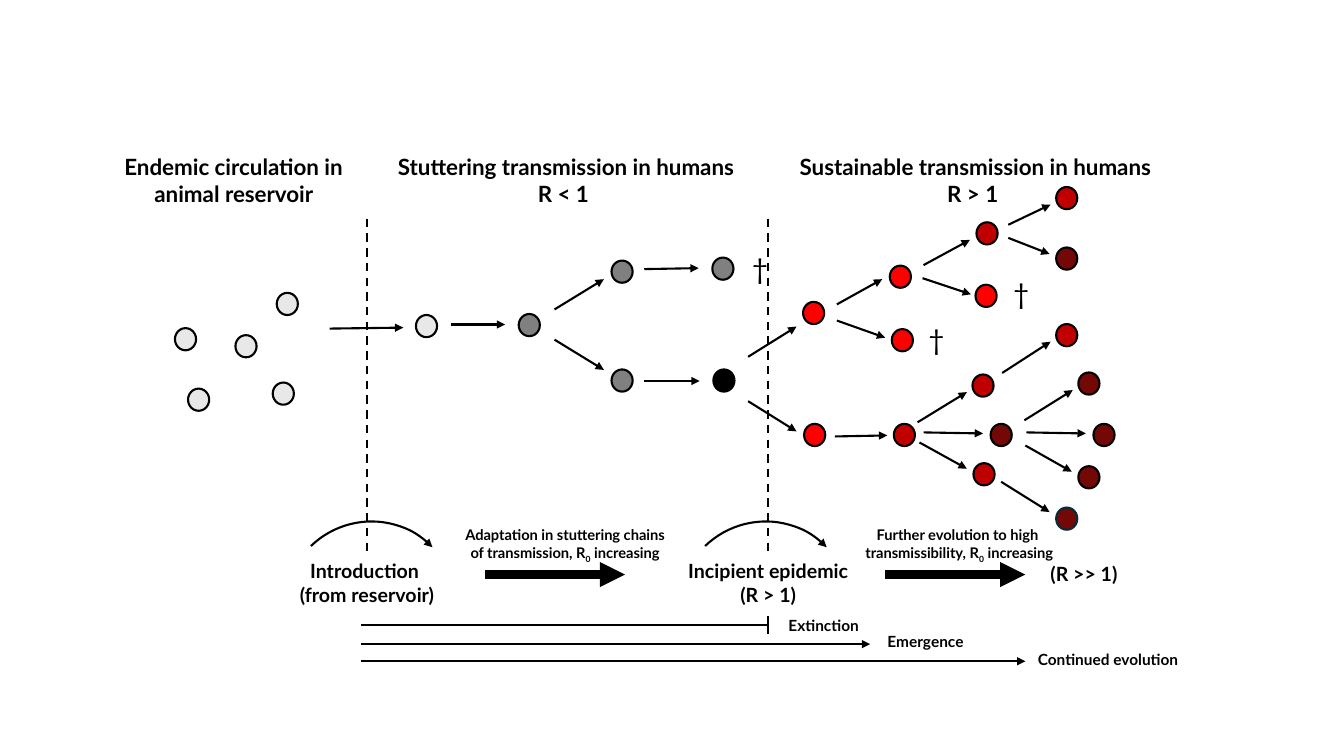
from dataclasses import dataclass
from typing import NamedTuple

from lxml import etree
from pptx import Presentation
from pptx.dml.color import RGBColor
from pptx.enum.dml import MSO_LINE
from pptx.enum.shapes import MSO_CONNECTOR, MSO_SHAPE
from pptx.enum.text import MSO_ANCHOR, PP_ALIGN
from pptx.oxml.ns import qn
from pptx.util import Inches, Pt

STRAIGHT = MSO_CONNECTOR.STRAIGHT
OVAL, ARC, RECT = MSO_SHAPE.OVAL, MSO_SHAPE.ARC, MSO_SHAPE.RECTANGLE
DASH, TOP = MSO_LINE.DASH, MSO_ANCHOR.TOP
LEFT, CENTER = PP_ALIGN.LEFT, PP_ALIGN.CENTER


@dataclass(frozen=True)
class Theme:
    font: str = "Lato"
    black: str = "000000"
    white: str = "FFFFFF"
    pale: str = "E8E8E8"
    gray: str = "808080"
    red: str = "FF0000"
    deep: str = "C00000"
    dark: str = "730806"
    navy: str = "092A39"
    head: float = 16
    stage: float = 14
    label: float = 11
    note: float = 10.5
    cross: float = 20
    thin: float = 1.5
    thick: float = 6


T = Theme()


class Dot(NamedTuple):
    x: float
    y: float
    fill: str
    edge: str = T.black


class Line(NamedTuple):
    x1: float
    y1: float
    x2: float
    y2: float
    width: float = T.thin
    arrow: bool = True
    dash: bool = False


class Label(NamedTuple):
    x: float
    y: float
    w: float
    h: float
    text: str
    size: float
    wrap: bool = True
    align: PP_ALIGN = CENTER
    bold: bool = True
    right: float = 0.1
    fill: str = ""


CASES = {
    T.pale: [(2.33, 3.33), (2.74, 2.91), (1.73, 3.26), (1.86, 3.86), (2.7, 3.8), (4.12, 3.13)],
    T.gray: [(5.14, 3.12), (6.06, 3.67), (6.06, 2.59), (7.06, 2.56)],
    T.black: [(7.07, 3.67)],
    T.red: [(7.97, 4.21), (7.96, 3), (8.84, 3.27), (8.82, 2.64), (9.67, 2.83)],
    T.deep: [(9.65, 4.6), (9.64, 3.72), (9.68, 2.21), (10.47, 3.22), (10.47, 1.86), (8.86, 4.21)],
    T.dark: [(9.82, 4.21), (10.84, 4.21), (10.69, 4.63), (10.69, 3.7), (10.47, 2.46)],
}
DOTS = [Dot(x, y, fill) for fill, spots in CASES.items() for x, y in spots]
DOTS.append(Dot(10.47, 5.04, T.dark, T.navy))

SPREAD = [
    Line(3.27, 3.26, 4, 3.25), Line(4.47, 3.22, 5.01, 3.22),
    Line(5.5, 3.37, 5.99, 3.67), Line(5.5, 3.07, 5.99, 2.77),
    Line(6.39, 3.78, 6.94, 3.78), Line(6.39, 2.67, 6.93, 2.66),
    Line(7.42, 3.98, 7.9, 4.28), Line(7.42, 3.54, 7.9, 3.24),
    Line(8.28, 4.33, 8.8, 4.32), Line(8.3, 3.18, 8.78, 3.35),
    Line(8.3, 3.02, 8.75, 2.77), Line(9.12, 4.39, 9.59, 4.65),
    Line(9.1, 4.19, 9.59, 3.89), Line(9.16, 4.29, 9.75, 4.3),
    Line(9.15, 2.76, 9.63, 2.92), Line(9.16, 2.63, 9.62, 2.38),
    Line(10.18, 4.29, 10.77, 4.3), Line(10.17, 4.42, 10.63, 4.68),
    Line(10.16, 4.17, 10.64, 3.87), Line(9.94, 3.7, 10.42, 3.39),
    Line(10, 2.23, 10.42, 2.03), Line(10, 2.36, 10.41, 2.52),
    Line(9.93, 4.78, 10.41, 5.08),
]
BORDERS = [Line(x, 2.17, x, 5.5, arrow=False, dash=True) for x in (3.64, 7.62)]
GROWTH = [Line(x, 5.7, x + 1.39, 5.7, T.thick) for x in (4.81, 8.78)]
SPANS = [
    Line(3.58, 6.2, 7.62, 6.2, arrow=False), Line(7.62, 6.11, 7.62, 6.29, arrow=False),
    Line(3.58, 6.39, 8.63, 6.39), Line(3.58, 6.56, 10.17, 6.56),
]
JUMPS = [2.81, 6.72]

# Text between bars is set as a subscript.
LABELS = [
    Label(1.08, 1.47, 2.53, 0.64, "Endemic circulation in \nanimal reservoir ", T.head, False),
    Label(3.76, 1.47, 3.71, 0.64, "Stuttering transmission in humans\nR < 1 ", T.head, False),
    Label(7.72, 1.47, 3.91, 0.64, "Sustainable transmission in humans\nR > 1 ", T.head, False),
    Label(2.78, 5.5, 1.72, 0.57, "Introduction \n(from reservoir)", T.stage),
    Label(6.65, 5.5, 1.94, 0.57, "Incipient epidemic (R > 1)", T.stage),
    Label(10.32, 5.53, 1.1, 0.34, "(R >> 1)", T.stage, align=LEFT),
    Label(4.45, 5.17, 2.31, 0.45,
          "Adaptation in stuttering chains of transmission, R|0| increasing", T.note),
    Label(7.81, 5.17, 3.41, 0.45,
          "Further evolution to high \ntransmissibility, R|0| increasing", T.note),
    Label(7.62, 6.06, 1.1, 0.29, "Extinction", T.label),
    Label(8.63, 6.22, 1.1, 0.29, "Emergence", T.label, fill=T.white),
    Label(10.13, 6.4, 1.72, 0.29, "Continued evolution", T.label),
]
LABELS += [Label(x, y, 0.14, 0.44, "†", T.cross, False, bold=False, right=0)
           for x, y in [(7.36, 2.45), (9.11, 3.15), (9.95, 2.69)]]


def rgb(code: str) -> RGBColor:
    return RGBColor.from_string(code)


def add_head(shape) -> None:
    """Put a triangle at the end of the outline."""
    line = shape.element.spPr.find(qn("a:ln"))
    etree.SubElement(line, qn("a:tailEnd"), type="triangle")


def draw_line(shapes, item: Line) -> None:
    ends = (Inches(v) for v in item[:4])
    link = shapes.add_connector(STRAIGHT, *ends)
    link.line.color.rgb = rgb(T.black)
    link.line.width = Pt(item.width)
    if item.dash:
        link.line.dash_style = DASH
    if item.arrow:
        add_head(link)
    etree.SubElement(link.element.spPr, qn("a:effectLst"))


def draw_dot(shapes, dot: Dot) -> None:
    oval = shapes.add_shape(OVAL, Inches(dot.x), Inches(dot.y), Inches(0.22), Inches(0.21))
    oval.rotation = 270
    oval.shadow.inherit = False
    oval.fill.solid()
    oval.fill.fore_color.rgb = rgb(dot.fill)
    oval.line.color.rgb = rgb(dot.edge)
    oval.line.width = Pt(T.thin)


def draw_jump(shapes, x: float) -> None:
    arc = shapes.add_shape(ARC, Inches(x), Inches(5.18), Inches(1.72), Inches(1.69))
    arc.rotation = 316.1
    arc.shadow.inherit = False
    arc.fill.background()
    arc.line.color.rgb = rgb(T.black)
    arc.line.width = Pt(T.thin)
    add_head(arc)


def draw_label(shapes, item: Label) -> None:
    place = [Inches(v) for v in item[:4]]
    if item.fill:
        box = shapes.add_shape(RECT, *place)
        box.shadow.inherit = False
        box.fill.solid()
        box.fill.fore_color.rgb = rgb(item.fill)
        box.line.fill.background()
    else:
        box = shapes.add_textbox(*place)
    frame = box.text_frame
    frame.word_wrap = item.wrap
    frame.vertical_anchor = TOP
    frame.margin_right = Inches(item.right)
    frame.text = item.text
    for para in frame.paragraphs:
        para.alignment = item.align
        parts = para.text.split("|")
        para.text = parts[0]
        for part in parts[1:]:
            para.add_run().text = part
        for i, run in enumerate(para.runs):
            run.font.name = T.font
            run.font.size = Pt(item.size)
            run.font.bold = item.bold
            run.font.color.rgb = rgb(T.black)
            if i % 2:
                run.font._element.set("baseline", "-25000")


def main() -> None:
    deck = Presentation()
    deck.slide_width, deck.slide_height = Inches(13.33), Inches(7.5)
    shapes = deck.slides.add_slide(deck.slide_layouts[6]).shapes
    for line in SPREAD + BORDERS + GROWTH + SPANS:
        draw_line(shapes, line)
    for dot in DOTS:
        draw_dot(shapes, dot)
    for x in JUMPS:
        draw_jump(shapes, x)
    for label in LABELS:
        draw_label(shapes, label)
    deck.save("out.pptx")


if __name__ == "__main__":
    main()
